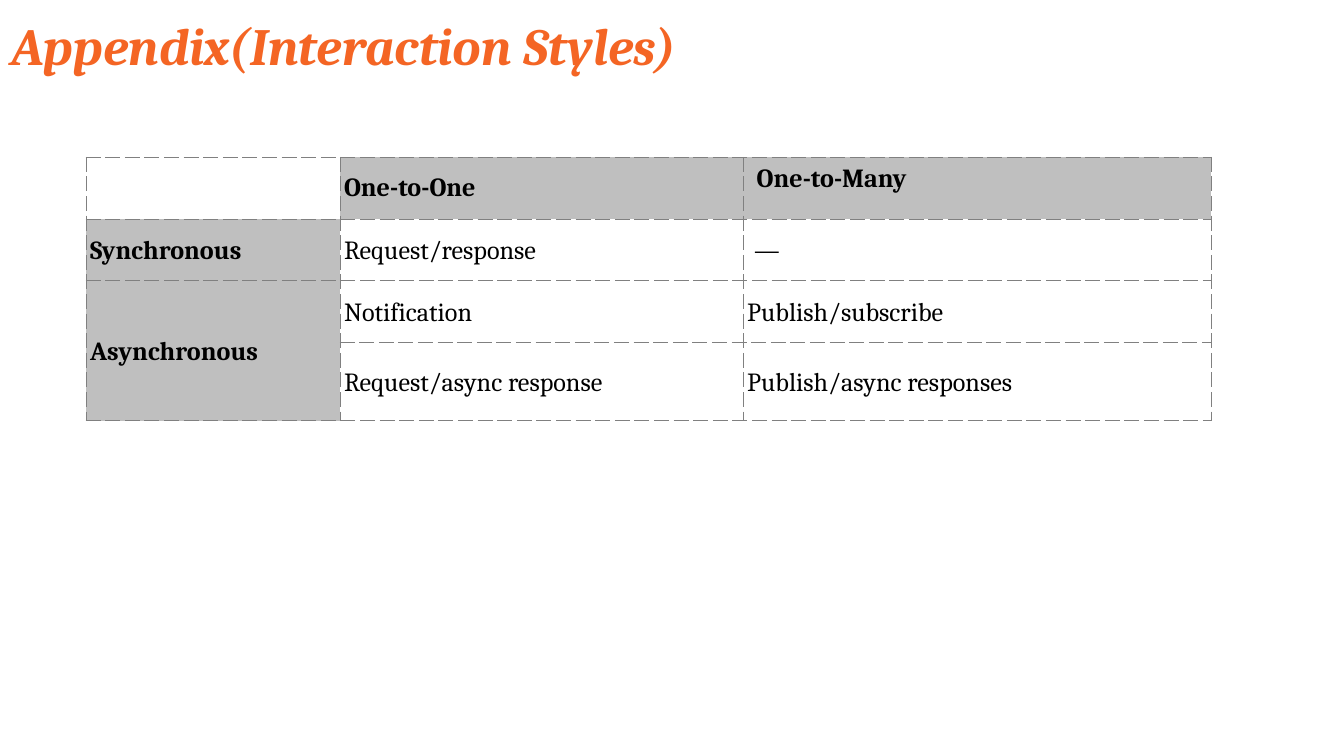
from lxml import etree
from pptx import Presentation
from pptx.dml.color import RGBColor
from pptx.enum.text import MSO_ANCHOR
from pptx.oxml.ns import qn
from pptx.util import Inches, Pt

MIDDLE = MSO_ANCHOR.MIDDLE
TOP = MSO_ANCHOR.TOP
ORANGE = RGBColor(0xF4, 0x65, 0x24)
BLACK = RGBColor(0x00, 0x00, 0x00)
GRAY = RGBColor(0xBF, 0xBF, 0xBF)
WHITE = RGBColor(0xFF, 0xFF, 0xFF)
BORDER_GRAY = RGBColor(0x80, 0x80, 0x80)
FONT = "Cambria"


def format_text(frame, size, color, bold, italic=False):
    for para in frame.paragraphs:
        for span in para.runs:
            span.font.name = FONT
            span.font.size = Pt(size)
            span.font.color.rgb = color
            span.font.bold = bold
            span.font.italic = italic


def add_borders(cell):
    properties = cell._tc.get_or_add_tcPr()
    for position, side in enumerate(("lnL", "lnR", "lnT", "lnB")):
        line = etree.Element(qn(f"a:{side}"), w=str(Pt(0.5)))
        fill = etree.SubElement(line, qn("a:solidFill"))
        etree.SubElement(fill, qn("a:srgbClr"), val=str(BORDER_GRAY))
        etree.SubElement(line, qn("a:prstDash"), val="sysDash")
        properties.insert(position, line)


# Widescreen page, 16:9
deck = Presentation()
deck.slide_width = Inches(10)
deck.slide_height = Inches(10 * 9 / 16)
page = deck.slides.add_slide(deck.slide_layouts[6])

# Title
title = page.shapes.add_textbox(Inches(-0.01), Inches(0), Inches(7.74), Inches(0.84))
frame = title.text_frame
frame.word_wrap = True
frame.margin_left = frame.margin_right = Inches(0.1)
frame.margin_top = frame.margin_bottom = Inches(0.1)
frame.text = "Appendix(Interaction Styles)"
format_text(frame, 28, ORANGE, bold=True, italic=True)

# Table of interaction styles
COLUMN_WIDTHS = [1.89, 3, 3.48]
ROW_HEIGHTS = [0.46, 0.46, 0.46, 0.58]
ROWS = [
    ["", "One-to-One", "One-to-Many"],
    ["Synchronous", "Request/response", "—"],
    ["Asynchronous", "Notification", "Publish/subscribe"],
    ["", "Request/async response", "Publish/async responses"],
]
table = page.shapes.add_table(
    len(ROWS), len(COLUMN_WIDTHS), Inches(0.64), Inches(1.17),
    Inches(sum(COLUMN_WIDTHS)), Inches(sum(ROW_HEIGHTS)),
).table
table.first_row = False
table.horz_banding = False
for column, width in zip(table.columns, COLUMN_WIDTHS):
    column.width = Inches(width)
for row, height in zip(table.rows, ROW_HEIGHTS):
    row.height = Inches(height)

# Cells: the first row and first column are headings, their corner is empty
for r, texts in enumerate(ROWS):
    for c, text in enumerate(texts):
        cell = table.cell(r, c)
        heading = (r == 0) != (c == 0)
        cell.text = text
        cell.vertical_anchor = MIDDLE
        cell.margin_left = cell.margin_right = Inches(0.03)
        cell.margin_top = Inches(0.03 if r else 0.01)
        cell.margin_bottom = Inches(0.01)
        cell.fill.solid()
        cell.fill.fore_color.rgb = GRAY if heading else WHITE
        format_text(cell.text_frame, 14, BLACK, bold=heading)
        add_borders(cell)
table.cell(2, 0).merge(table.cell(3, 0))

# Cells in the last column that are set further in
many_heading = table.cell(0, 2)
many_heading.vertical_anchor = TOP
many_heading.margin_left = many_heading.margin_right = Inches(0.1)
many_heading.margin_top = many_heading.margin_bottom = Inches(0.05)
table.cell(1, 2).margin_left = Inches(0.08)

deck.save("out.pptx")
